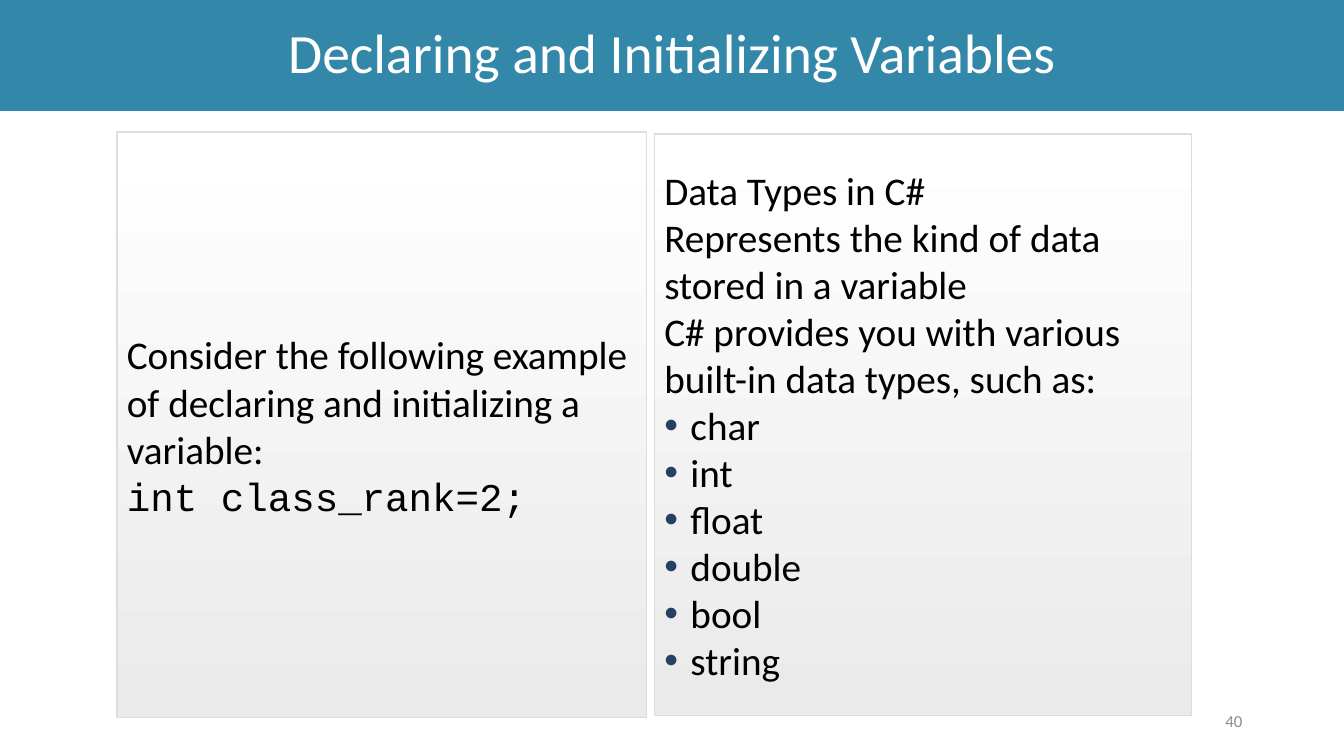
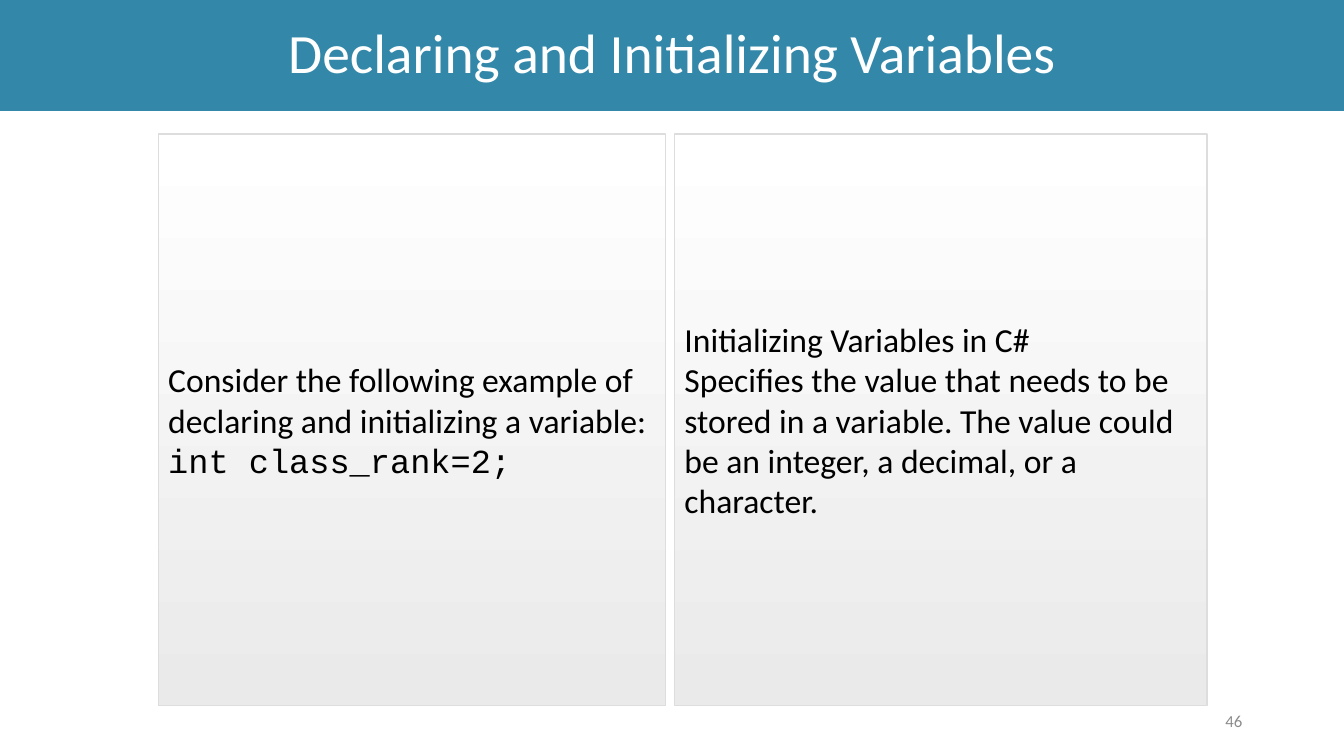
from dataclasses import dataclass

from lxml import etree
from pptx import Presentation
from pptx import util as u
from pptx.dml.color import RGBColor
from pptx.enum import shapes, text
from pptx.oxml import ns


@dataclass(frozen=True)
class Theme:
    band: str = "3388A9"
    title: str = "FFFFFF"
    body: str = "000000"
    number: str = "8C8C8C"
    bullet: str = "254061"
    panel_top: str = "FFFFFF"
    panel_bottom: str = "EAEAEA"
    panel_line: str = "DDDDDD"
    font: str = "Calibri"
    code_font: str = "Courier New"
    title_size: float = 39.6
    number_size: float = 12
    line_width: float = 1
    bullet_indent: float = 0.26


THEME = Theme()
SLIDE_WIDTH, SLIDE_HEIGHT = 13.33, 7.5
TITLE_BOX = (0, 0, SLIDE_WIDTH, 1.1)
NUMBER_BOX = (9.42, 6.95, 3, 0.4)

TITLE = "Declaring and Initializing Variables"
EXAMPLE = [
    ("plain", "Consider the following example of declaring and initializing a variable:"),
    ("code", "int class_rank=2;"),
]
DATA_TYPES = [
    ("plain", "Data Types in C#"),
    ("plain", "Represents the kind of data stored in a variable"),
    ("plain", "C# provides you with various built-in data types, such as:"),
    *[("bullet", name) for name in ("char", "int", "float", "double", "bool", "string")],
]
INITIALIZING = [
    ("plain", "Initializing Variables in C#"),
    ("plain", "Specifies the value that needs to be stored in a variable. "
              "The value could be an integer, a decimal, or a character."),
]
SLIDES = [
    {"number": "40", "size": 28, "panels": [
        ((1.16, 1.31, 5.25, 5.81), EXAMPLE),
        ((6.49, 1.33, 5.33, 5.77), DATA_TYPES)]},
    {"number": "46", "size": 24, "panels": [
        ((1.57, 1.33, 5.03, 5.67), EXAMPLE),
        ((6.69, 1.33, 5.28, 5.67), INITIALIZING)]},
]


def rgb(color):
    return RGBColor.from_string(color)


def inches(box):
    return [u.Inches(length) for length in box]


def style_paragraph(paragraph, size, color, align, font=THEME.font):
    paragraph.alignment = align
    paragraph.font.name = font
    paragraph.font.size = u.Pt(size)
    paragraph.font.color.rgb = rgb(color)


def prepare_frame(frame):
    frame.word_wrap = True
    frame.auto_size = text.MSO_AUTO_SIZE.NONE
    frame.vertical_anchor = text.MSO_ANCHOR.MIDDLE


def add_bullet(paragraph):
    props = paragraph._p.get_or_add_pPr()
    indent = u.Inches(THEME.bullet_indent)
    props.set("marL", str(indent))
    props.set("indent", str(-indent))
    color = etree.SubElement(props, ns.qn("a:buClr"))
    etree.SubElement(color, ns.qn("a:srgbClr"), val=THEME.bullet)
    etree.SubElement(props, ns.qn("a:buFont"), typeface="Arial")
    etree.SubElement(props, ns.qn("a:buChar"), char="•")


def add_title(slide):
    title = slide.shapes.title
    title.left, title.top, title.width, title.height = inches(TITLE_BOX)
    title.fill.solid()
    title.fill.fore_color.rgb = rgb(THEME.band)
    prepare_frame(title.text_frame)
    title.text_frame.text = TITLE
    heading = title.text_frame.paragraphs[0]
    heading.line_spacing = 0.9
    style_paragraph(heading, THEME.title_size, THEME.title, text.PP_ALIGN.CENTER)


def add_number(slide, number):
    frame = slide.shapes.add_textbox(*inches(NUMBER_BOX)).text_frame
    prepare_frame(frame)
    frame.text = number
    style_paragraph(frame.paragraphs[0], THEME.number_size, THEME.number,
                    text.PP_ALIGN.RIGHT)


def add_panel(slide, box, lines, size):
    panel = slide.shapes.add_shape(shapes.MSO_SHAPE.RECTANGLE, *inches(box))
    panel.shadow.inherit = False
    panel.fill.gradient()
    panel.fill.gradient_angle = 270
    for stop, color in zip(panel.fill.gradient_stops,
                           (THEME.panel_top, THEME.panel_bottom)):
        stop.color.rgb = rgb(color)
    panel.line.color.rgb = rgb(THEME.panel_line)
    panel.line.width = u.Pt(THEME.line_width)

    frame = panel.text_frame
    prepare_frame(frame)
    frame.text = "\n".join(line for _, line in lines)
    for paragraph, (kind, _) in zip(frame.paragraphs, lines):
        if kind == "bullet":
            add_bullet(paragraph)
        font = THEME.code_font if kind == "code" else THEME.font
        style_paragraph(paragraph, size, THEME.body, text.PP_ALIGN.LEFT, font)


def main():
    deck = Presentation()
    deck.slide_width, deck.slide_height = inches((SLIDE_WIDTH, SLIDE_HEIGHT))
    title_only = deck.slide_layouts.get_by_name("Title Only")
    for content in SLIDES:
        slide = deck.slides.add_slide(title_only)
        add_title(slide)
        add_number(slide, content["number"])
        for box, lines in content["panels"]:
            add_panel(slide, box, lines, content["size"])
    deck.save("out.pptx")


if __name__ == "__main__":
    main()
